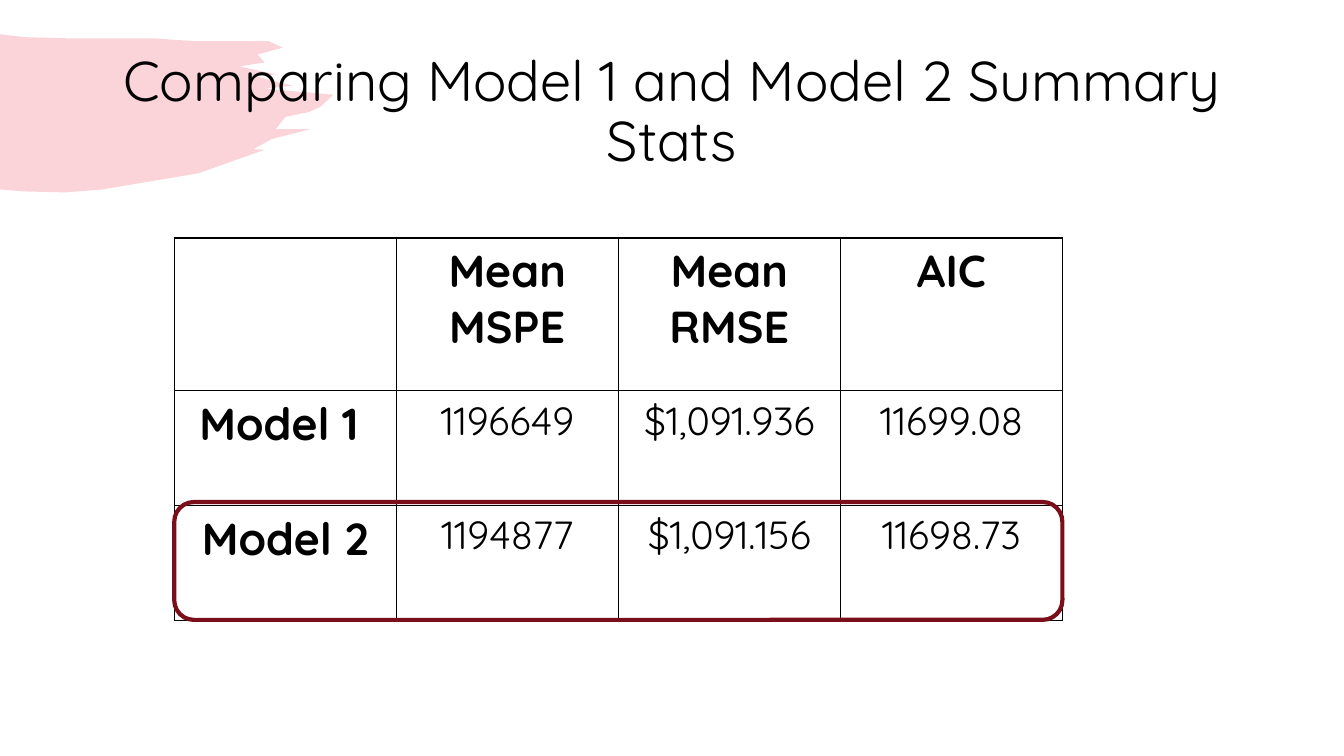
from pptx import Presentation
from pptx.dml.color import RGBColor
from pptx.enum.shapes import MSO_SHAPE as Shape
from pptx.enum.text import MSO_ANCHOR as Anchor, PP_ALIGN as Align
from pptx.oxml import parse_xml
from pptx.oxml.ns import nsdecls, qn
from pptx.util import Pt

TITLE = "Comparing Model 1 and Model 2 Summary Stats"
ROWS = [
    ["", "Mean MSPE", "Mean RMSE", "AIC"],
    ["Model 1 ", "1196649", "$1,091.936", "11699.08"],
    ["Model 2", "1194877", "$1,091.156", "11698.73"],
]
FONT = "Quicksand"
BLACK, PINK, MAROON = "000000", "E62A3E", "7A0E1A"

BRUSH = [
    (0, 24.5), (18, 26.6), (48, 27.4), (109, 27.4), (140, 29.5), (179, 29.5),
    (192, 29.5), (202, 34), (184, 39), (189, 44.6), (171, 47.5), (198, 53.3),
    (181, 54), (197, 58.3), (209, 61.2), (189, 63.4), (238, 67.7), (229, 76.3),
    (221, 80), (204, 83.5), (197, 92.2), (222, 92.2), (194, 99.4), (181, 106.6),
    (189, 107), (142, 123.8), (73, 135.4), (47, 137.5), (17, 136.8), (0, 135.4),
]

TABLE_LEFT, TABLE_TOP = 124.5, 170
COLUMN_WIDTH = 158.6
ROW_HEIGHTS = [109.2, 82, 82]
FRAME_TOP, FRAME_HEIGHT = 358.6, 84.2


def color(value):
    return RGBColor.from_string(value)


def write(frame, text, size, bold=False):
    frame.text = text
    para = frame.paragraphs[0]
    para.alignment = Align.CENTER
    para.font.size = Pt(size)
    for span in para.runs:
        span.font.name = FONT
        span.font.size = Pt(size)
        span.font.bold = bold
        span.font.color.rgb = color(BLACK)
    return para


def add_brush(page):
    points = [(Pt(x), Pt(y)) for x, y in BRUSH]
    builder = page.shapes.build_freeform(*points[0])
    builder.add_line_segments(points[1:], close=True)
    brush = builder.convert_to_shape()
    brush.shadow.inherit = False
    brush.fill.solid()
    brush.fill.fore_color.rgb = color(PINK)
    brush.line.fill.background()
    tint = next(brush._element.spPr.iter(qn("a:srgbClr")))
    tint.append(parse_xml(f'<a:alpha {nsdecls("a")} val="20000"/>'))


def add_title(page):
    box = page.shapes.add_textbox(Pt(66), Pt(28.8), Pt(828), Pt(104.4))
    frame = box.text_frame
    frame.word_wrap = True
    frame.vertical_anchor = Anchor.MIDDLE
    write(frame, TITLE, 40).line_spacing = 0.9


def add_borders(cell):
    properties = cell._tc.get_or_add_tcPr()
    for index, side in enumerate(("lnL", "lnR", "lnT", "lnB")):
        properties.insert(index, parse_xml(
            f'<a:{side} {nsdecls("a")} w="{Pt(1)}"><a:solidFill>'
            f'<a:srgbClr val="{BLACK}"/></a:solidFill></a:{side}>'
        ))


def add_stats(page):
    columns = len(ROWS[0])
    table = page.shapes.add_table(
        len(ROWS), columns, Pt(TABLE_LEFT), Pt(TABLE_TOP),
        Pt(columns * COLUMN_WIDTH), Pt(sum(ROW_HEIGHTS)),
    ).table
    table.horz_banding = False
    for column in table.columns:
        column.width = Pt(COLUMN_WIDTH)
    for r, (values, height) in enumerate(zip(ROWS, ROW_HEIGHTS)):
        table.rows[r].height = Pt(height)
        for c, value in enumerate(values):
            cell = table.cell(r, c)
            heading = r == 0 or c == 0
            write(cell.text_frame, value, 32 if heading else 28, heading)
            cell.fill.background()
            add_borders(cell)


def add_highlight(page):
    frame = page.shapes.add_shape(
        Shape.ROUNDED_RECTANGLE, Pt(TABLE_LEFT), Pt(FRAME_TOP),
        Pt(len(ROWS[0]) * COLUMN_WIDTH), Pt(FRAME_HEIGHT),
    )
    frame.shadow.inherit = False
    frame.fill.background()
    frame.line.color.rgb = color(MAROON)
    frame.line.width = Pt(3)


def main():
    deck = Presentation()
    deck.slide_width, deck.slide_height = Pt(960), Pt(540)
    page = deck.slides.add_slide(deck.slide_layouts[6])
    add_brush(page)
    add_title(page)
    add_stats(page)
    add_highlight(page)
    deck.save("out.pptx")


if __name__ == "__main__":
    main()
